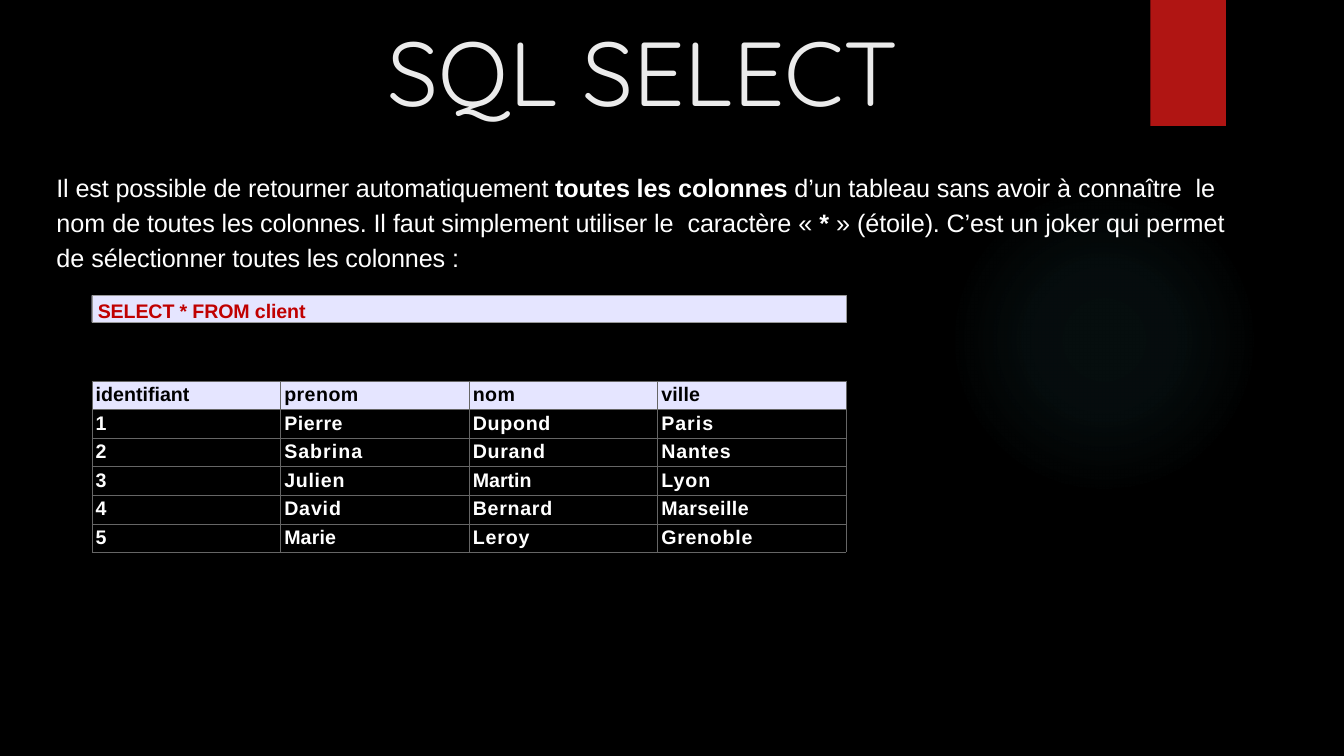
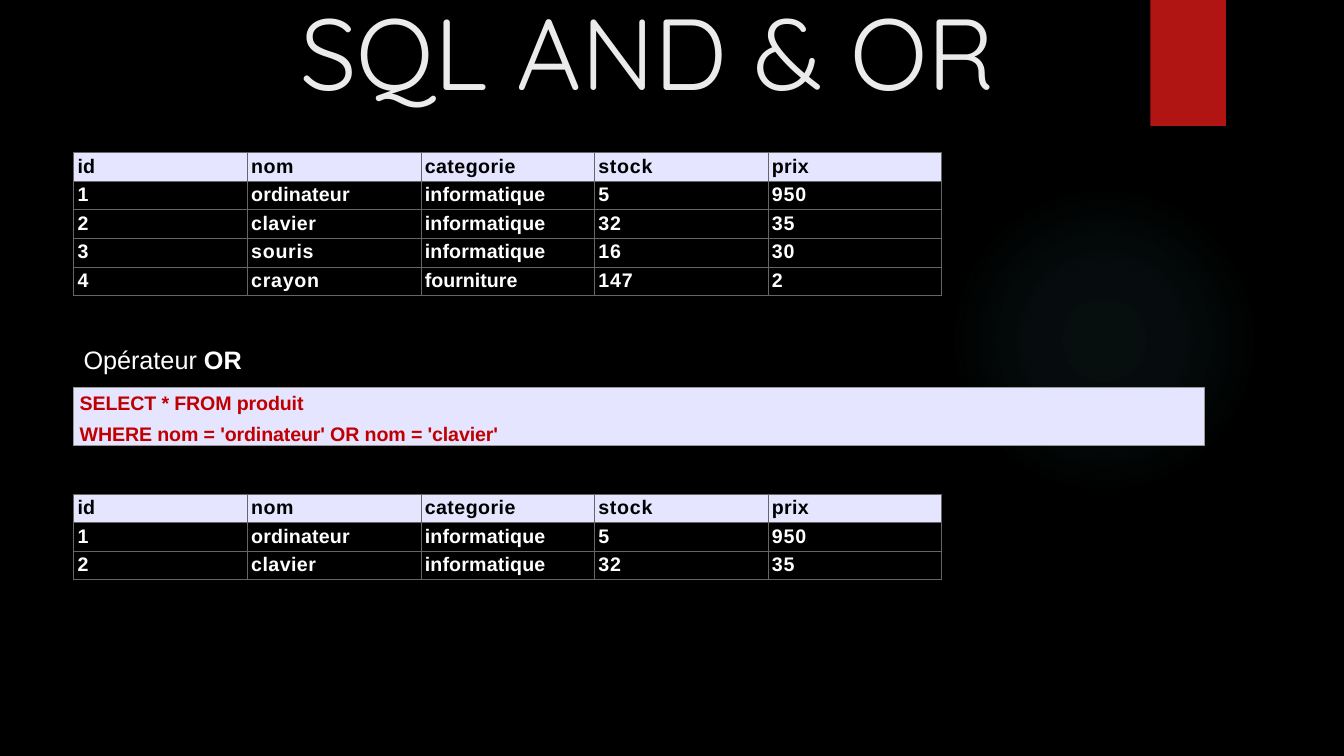
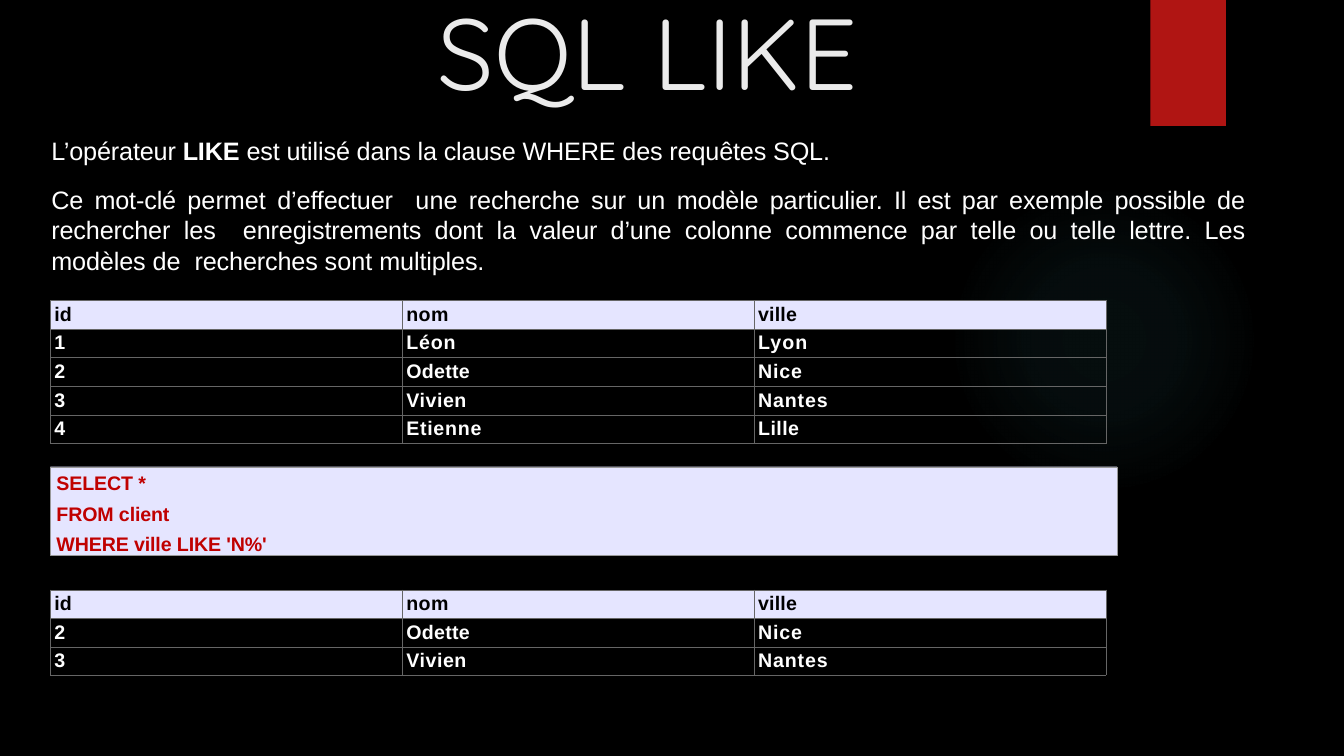
from dataclasses import dataclass

from pptx import Presentation
from pptx.dml.color import RGBColor
from pptx.enum.shapes import MSO_SHAPE as Shape
from pptx.enum.text import MSO_ANCHOR as Anchor, PP_ALIGN as Align
from pptx.oxml import parse_xml
from pptx.oxml.ns import nsdecls, qn
from pptx.util import Inches, Pt

BLACK = RGBColor(0x00, 0x00, 0x00)
WHITE = RGBColor(0xFF, 0xFF, 0xFF)
TITLE_GREY = RGBColor(0xEB, 0xEB, 0xEB)
BAND_RED = RGBColor(0xB0, 0x15, 0x13)
CODE_RED = RGBColor(0xC0, 0x00, 0x00)
LAVENDER = RGBColor(0xE5, 0xE5, 0xFF)
BOX_GREY = RGBColor(0x99, 0x99, 0x99)
GRID_GREY = RGBColor(0x66, 0x66, 0x66)
GLOW_TEAL = RGBColor(0x50, 0xB9, 0xC1)

TITLE_FONT = "Quicksand"
TEXT_FONT = "Arial"
PLAIN_TABLE_STYLE = "{2D5ABB26-0587-4C30-8999-92F81FD0307C}"
TIGHT = -0.1

CUSTOMERS = [
    ["identifiant", "prenom", "nom", "ville"],
    ["1", "Pierre", "Dupond", "Paris"],
    ["2", "Sabrina", "Durand", "Nantes"],
    ["3", "Julien", "Martin", "Lyon"],
    ["4", "David", "Bernard", "Marseille"],
    ["5", "Marie", "Leroy", "Grenoble"],
]
PRODUCTS = [
    ["id", "nom", "categorie", "stock", "prix"],
    ["1", "ordinateur", "informatique", "5", "950"],
    ["2", "clavier", "informatique", "32", "35"],
    ["3", "souris", "informatique", "16", "30"],
    ["4", "crayon", "fourniture", "147", "2"],
]
CITIES = [
    ["id", "nom", "ville"],
    ["1", "Léon", "Lyon"],
    ["2", "Odette", "Nice"],
    ["3", "Vivien", "Nantes"],
    ["4", "Etienne", "Lille"],
]
WORDS_BY_TRACKING = {
    0.1: "id ville ordinateur informatique Marie",
    0.2: "prix Odette",
    0.3: "prenom nom categorie clavier Marseille Lille",
    0.4: "Pierre Vivien",
    0.5: "Dupond Durand Julien Bernard Grenoble stock souris crayon Etienne",
    0.6: "Nantes David Leroy Léon Nice 950 32 35 16 30 147",
    0.7: "Paris Sabrina Lyon",
}
CELL_TRACKING = {
    word: tracking
    for tracking, words in WORDS_BY_TRACKING.items()
    for word in words.split()
}


@dataclass
class Span:
    """A piece of text with its letter spacing in points."""
    text: str
    tracking: float = 0
    bold: bool = False


def tight(text, bold=False):
    return Span(text, TIGHT, bold)


def add_run(paragraph, span, size, color, font=TEXT_FONT):
    run = paragraph.add_run()
    run.text = span.text
    run.font.name = font
    run.font.size = Pt(size)
    run.font.bold = span.bold
    run.font.color.rgb = color
    if span.tracking:
        run._r.get_or_add_rPr().set("spc", str(round(span.tracking * 100)))


def fill_frame(frame, paragraphs, size, color, font=TEXT_FONT, gap=0):
    """Write lists of spans as paragraphs, with gap points between them."""
    frame.word_wrap = True
    for index, spans in enumerate(paragraphs):
        paragraph = frame.add_paragraph() if index else frame.paragraphs[0]
        paragraph.alignment = Align.LEFT
        if index and gap:
            paragraph.space_before = Pt(gap)
        for span in spans:
            add_run(paragraph, span, size, color, font)


def set_margins(target, left, top):
    target.margin_left, target.margin_top = Inches(left), Inches(top)
    target.margin_right = target.margin_bottom = 0


def add_text(slide, left, top, width, height, paragraphs, size=18,
             color=WHITE, **options):
    box = slide.shapes.add_textbox(
        Inches(left), Inches(top), Inches(width), Inches(height))
    fill_frame(box.text_frame, paragraphs, size, color, **options)
    return box.text_frame


def add_plain_shape(slide, kind, left, top, width, height):
    shape = slide.shapes.add_shape(
        kind, Inches(left), Inches(top), Inches(width), Inches(height))
    shape.shadow.inherit = False
    shape.line.fill.background()
    return shape


def add_glow(slide):
    glow = add_plain_shape(slide, Shape.OVAL, 9.41, 1.83, 3.08, 3.08)
    stops = "".join(
        f'<a:gs pos="{position * 1000}"><a:srgbClr val="{GLOW_TEAL}">'
        f'<a:alpha val="{alpha * 1000}"/></a:srgbClr></a:gs>'
        for position, alpha in ((0, 7), (36, 6), (69, 0)))
    gradient = parse_xml(
        f'<a:gradFill {nsdecls("a")} rotWithShape="1"><a:gsLst>{stops}</a:gsLst>'
        '<a:path path="circle"><a:fillToRect l="50000" t="50000" r="50000" '
        'b="50000"/></a:path></a:gradFill>')
    glow._element.spPr.find(qn("a:prstGeom")).addnext(gradient)


def start_slide(presentation, title, left, top, width, height, size=72):
    """Add a slide with the shared glow, red band and title."""
    slide = presentation.slides.add_slide(presentation.slide_layouts[6])
    add_glow(slide)
    band = add_plain_shape(slide, Shape.RECTANGLE, 11.41, 0, 0.75, 1.25)
    band.fill.solid()
    band.fill.fore_color.rgb = BAND_RED
    frame = add_text(slide, left, top, width, height, [[Span(title)]],
                     size, TITLE_GREY, font=TITLE_FONT)
    frame.vertical_anchor = Anchor.BOTTOM
    frame.paragraphs[0].alignment = Align.CENTER
    return slide


def add_code(slide, left, top, width, height, lines):
    box = add_plain_shape(slide, Shape.RECTANGLE, left, top, width, height)
    box.fill.solid()
    box.fill.fore_color.rgb = LAVENDER
    box.line.color.rgb = BOX_GREY
    box.line.width = Pt(0.25)
    frame = box.text_frame
    set_margins(frame, 0.06, 0.04)
    frame.vertical_anchor = Anchor.TOP
    fill_frame(frame, [[tight(line, True)] for line in lines],
               14, CODE_RED, gap=5.1)


def add_borders(cell):
    properties = cell._tc.get_or_add_tcPr()
    for side in ("lnL", "lnR", "lnT", "lnB"):
        properties.append(parse_xml(
            f'<a:{side} {nsdecls("a")} w="{Pt(0.25)}"><a:solidFill>'
            f'<a:srgbClr val="{GRID_GREY}"/></a:solidFill></a:{side}>'))


def add_data_table(slide, left, top, width, height, rows):
    graphic = slide.shapes.add_table(
        len(rows), len(rows[0]),
        Inches(left), Inches(top), Inches(width), Inches(height))
    table = graphic.table
    table.horz_banding = False
    table._tbl.tblPr.find(qn("a:tableStyleId")).text = PLAIN_TABLE_STYLE
    for row_index, row in enumerate(rows):
        is_header = row_index == 0
        for column_index, word in enumerate(row):
            cell = table.cell(row_index, column_index)
            set_margins(cell, 0.04, 0.03)
            add_borders(cell)
            if is_header:
                cell.fill.solid()
                cell.fill.fore_color.rgb = LAVENDER
            else:
                cell.fill.background()
            span = Span(word, CELL_TRACKING.get(word, 0), True)
            fill_frame(cell.text_frame, [[span]], 14,
                       BLACK if is_header else WHITE)


def build_select(presentation):
    slide = start_slide(presentation, "SQL SELECT", 1.38, 0.23, 10, 1.06, 64.8)
    frame = add_text(slide, 0.45, 1.62, 12.13, 1.12, [[
        tight("Il est possible de retourner automatiquement "),
        tight("toutes les colonnes ", True),
        tight("d’un tableau sans avoir "), Span("à "),
        tight("connaître  "), Span("le nom "),
        tight("de toutes les colonnes. I"), Span("l "),
        tight("faut simplement utiliser "), Span("le  "),
        tight("caractère "), Span("« "), Span("* ", bold=True), Span("» "),
        tight("(étoile). C’est "), Span("un "),
        tight("joker qui "), Span("permet de "),
        tight("sélectionner toutes les colonnes "), Span(":"),
    ]])
    frame.margin_left = Inches(0.11)
    frame.paragraphs[0].line_spacing = 1.15
    add_code(slide, 0.91, 2.93, 7.48, 0.27, ["SELECT * FROM client"])
    add_data_table(slide, 0.91, 3.78, 7.48, 1.7, CUSTOMERS)


def build_and_or(presentation):
    slide = start_slide(presentation, "SQL AND & OR", 1.47, 0.21, 9.91, 0.94)
    add_data_table(slide, 0.73, 1.51, 8.61, 1.42, PRODUCTS)
    add_text(slide, 0.73, 3.37, 2.09, 0.4,
             [[Span("Opérateur "), Span("OR", bold=True)]])
    add_code(slide, 0.73, 3.84, 11.21, 0.58, [
        "SELECT * FROM produit",
        "WHERE nom = 'ordinateur' OR nom = 'clavier'",
    ])
    add_data_table(slide, 0.73, 4.9, 8.61, 0.85, PRODUCTS[:3])


def build_like(presentation):
    slide = start_slide(presentation, "SQL LIKE", 1.47, 0.21, 9.91, 0.94)
    frame = add_text(slide, 0.5, 1.15, 11.85, 1.6, [
        [
            tight("L’opérateur "), tight("LIKE", True),
            tight(" est utilisé dans la clause WHERE des requêtes SQL."),
        ],
        [
            tight("Ce mot-clé "), Span("permet "),
            tight("d’effectuer  "), Span("une "),
            tight("recherche "), Span("sur un "),
            tight("modèle particulier. Il est par exemple possible "),
            Span("de "), tight("rechercher "), Span("les  "),
            tight("enregistrements dont "), Span("la "),
            tight("valeur d’une colonne commence "), Span("par "),
            tight("telle ou telle lettre. "), Span("Les "),
            tight("modèles "), Span("de  "),
            tight("recherches "), Span("sont "), tight("multiples."),
        ],
    ], gap=13.7)
    set_margins(frame, 0.01, 0.19)
    frame.paragraphs[1].alignment = Align.JUSTIFY
    add_data_table(slide, 0.5, 2.98, 10.47, 1.42, CITIES)
    add_code(slide, 0.5, 4.63, 10.58, 0.88,
             ["SELECT *", "FROM client", "WHERE ville LIKE 'N%'"])
    add_data_table(slide, 0.5, 5.85, 10.47, 0.85, CITIES[:1] + CITIES[2:4])


def main():
    presentation = Presentation()
    presentation.slide_width = Inches(13.33)
    presentation.slide_height = Inches(7.5)
    background = presentation.slide_master.background.fill
    background.solid()
    background.fore_color.rgb = BLACK
    build_select(presentation)
    build_and_or(presentation)
    build_like(presentation)
    presentation.save("out.pptx")


if __name__ == "__main__":
    main()
